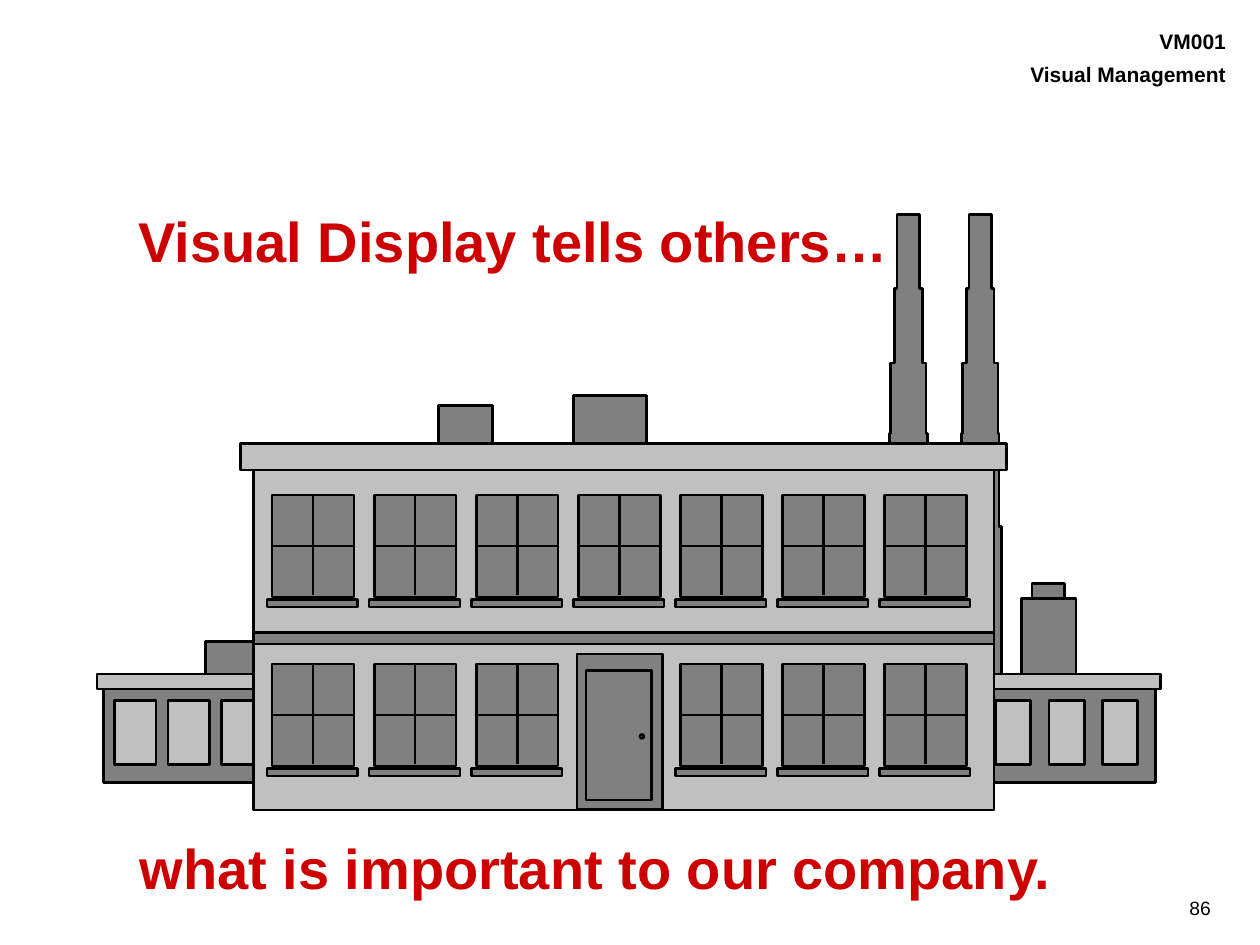
import pptx
import pptx.dml.color
import pptx.enum.shapes
import pptx.enum.text
import pptx.util
from lxml import etree
from pptx.util import Inches

GREY, LIGHT, BLACK, RED = "808080", "C0C0C0", "000000", "CC0000"
RECT = pptx.enum.shapes.MSO_SHAPE.RECTANGLE
OVAL = pptx.enum.shapes.MSO_SHAPE.OVAL
RIGHT = pptx.enum.text.PP_ALIGN.RIGHT


def rgb(value):
    return pptx.dml.color.RGBColor.from_string(value)


def place(sp, x, y, w, h):
    sp.left, sp.top, sp.width, sp.height = Inches(x), Inches(y), Inches(w), Inches(h)


def write(sp, lines, size, color=BLACK, bold=False, align=None, insets=(0, 0)):
    """Fill a text shape, top anchored; insets are horizontal and vertical."""
    tf = sp.text_frame
    tf.word_wrap = True
    tf.auto_size = pptx.enum.text.MSO_AUTO_SIZE.NONE
    tf.vertical_anchor = pptx.enum.text.MSO_ANCHOR.TOP
    tf.margin_left = tf.margin_right = Inches(insets[0])
    tf.margin_top = tf.margin_bottom = Inches(insets[1])
    tf.text = "\n".join(lines)
    for p in tf.paragraphs:
        p.alignment = align
        p.font.name = "Arial"
        p.font.size = pptx.util.Pt(size)
        p.font.bold = bold
        p.font.color.rgb = rgb(color)
    return tf


def add_text(slide, box, *args, **kwargs):
    sp = slide.shapes.add_textbox(*map(Inches, box))
    return write(sp, *args, **kwargs)


def outline(sp):
    sp.line.color.rgb = rgb(BLACK)
    sp.line.width = pptx.util.Pt(1.5)


def paint(sp, fill):
    sp.shadow.inherit = False
    sp.fill.solid()
    sp.fill.fore_color.rgb = rgb(fill)
    outline(sp)


def add_block(factory, x, y, w, h, fill=GREY, kind=RECT):
    sp = factory.shapes.add_shape(kind, Inches(x), Inches(y), Inches(w), Inches(h))
    paint(sp, fill)
    return sp


def add_bar(factory, x1, y1, x2, y2):
    bar = factory.shapes.add_connector(
        pptx.enum.shapes.MSO_CONNECTOR.STRAIGHT,
        Inches(x1), Inches(y1), Inches(x2), Inches(y2))
    outline(bar)
    etree.SubElement(bar._element.spPr, pptx.oxml.ns.qn("a:effectLst"))
    return bar


def add_chimney(factory, center):
    """Stack of tiers that widen downwards, drawn as one outline."""
    tiers = [(0.09, 1.7, 2.29), (0.11, 2.29, 2.88), (0.14, 2.88, 3.44),
             (0.15, 3.44, 4.18), (0.17, 4.18, 5.41)]
    left = [(-half, y) for half, top, bottom in tiers for y in (top, bottom)]
    right = [(-dx, y) for dx, y in reversed(left)]
    points = [(Inches(center + dx), Inches(y)) for dx, y in left + right]
    builder = factory.shapes.build_freeform(*points[0])
    builder.add_line_segments(points[1:], close=True)
    paint(builder.convert_to_shape(), GREY)


def add_annex(factory, x, first_pane, pane_width):
    add_block(factory, x, 5.44, 1.39, 0.77)
    add_block(factory, x - 0.05, 5.35, 1.48, 0.12, LIGHT)
    for i in range(3):
        add_block(factory, first_pane + 0.425 * i, 5.56, pane_width, 0.51, LIGHT)


def add_window(factory, x, y):
    w, h = 0.65, 0.81
    frame = add_block(factory, x, y, w, h)
    add_block(factory, x - 0.04, y + 0.83, 0.72, 0.06)
    upright = add_bar(factory, x + w / 2, y, x + w / 2, y + 0.79)
    upright.begin_connect(frame, 0)
    crossbar = add_bar(factory, x, y + h / 2, x + w, y + h / 2)
    crossbar.begin_connect(frame, 1)
    crossbar.end_connect(frame, 3)


def add_door(factory):
    add_block(factory, 4.58, 5.19, 0.68, 1.23)
    add_block(factory, 4.65, 5.32, 0.52, 1.03)
    add_block(factory, 5.08, 5.83, 0.03, 0.03, LIGHT, OVAL)


def add_factory(slide):
    factory = slide.shapes.add_group_shape()
    for center in (7.21, 7.78):
        add_chimney(factory, center)
    add_block(factory, 8.19, 4.63, 0.26, 0.16)
    add_block(factory, 8.11, 4.75, 0.43, 0.64)
    add_annex(factory, 7.78, 7.9, 0.28)
    add_block(factory, 1.63, 5.09, 0.46, 0.3)
    add_annex(factory, 0.82, 0.91, 0.33)

    add_block(factory, 2.01, 3.67, 5.88, 2.76, LIGHT)
    add_block(factory, 3.48, 3.22, 0.43, 0.32)
    add_block(factory, 4.55, 3.14, 0.58, 0.45)
    add_block(factory, 1.91, 3.52, 6.08, 0.21, LIGHT)
    add_block(factory, 2.01, 5.02, 5.88, 0.09)

    door_column = 3
    for column in range(7):
        x = 2.16 + 0.81 * column
        add_window(factory, x, 3.93)
        if column != door_column:
            add_window(factory, x, 5.27)
    add_door(factory)


def main():
    prs = pptx.Presentation()
    prs.slide_width, prs.slide_height = Inches(10), Inches(7.5)
    slide = prs.slides.add_slide(prs.slide_layouts[5])

    add_text(slide, (7.39, 7.07, 2.31, 0.27), ["86"], 11, align=RIGHT,
             insets=(0.09, 0.04))
    header = add_text(slide, (7.38, 0.2, 2.35, 0.88), ["VM001", "Visual Management"],
                      12, bold=True, align=RIGHT, insets=(0, 0.03))
    header.paragraphs[1].space_before = pptx.util.Pt(4)

    title = slide.shapes.title
    place(title, 1.1, 1.72, 6.36, 0.58)
    tf = write(title, ["Visual Display tells others…"], 32, RED, True,
               pptx.enum.text.PP_ALIGN.LEFT)
    tf.paragraphs[0].line_spacing = 0.85
    add_text(slide, (1.01, 6.57, 7.49, 0.64), ["what is important to our company."],
             32, RED, True, insets=(0.1, 0.05))

    add_factory(slide)
    prs.save("out.pptx")


if __name__ == "__main__":
    main()
